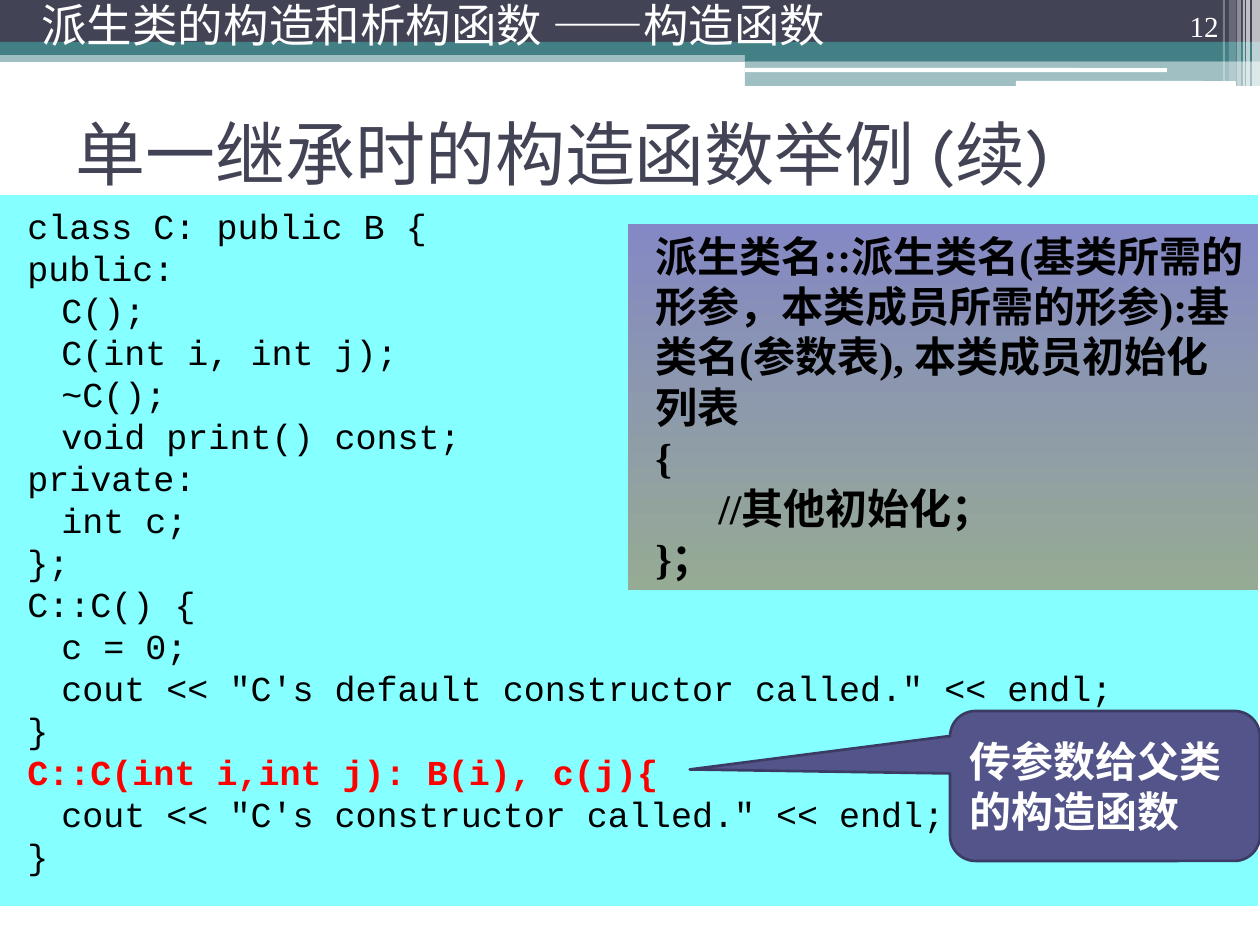
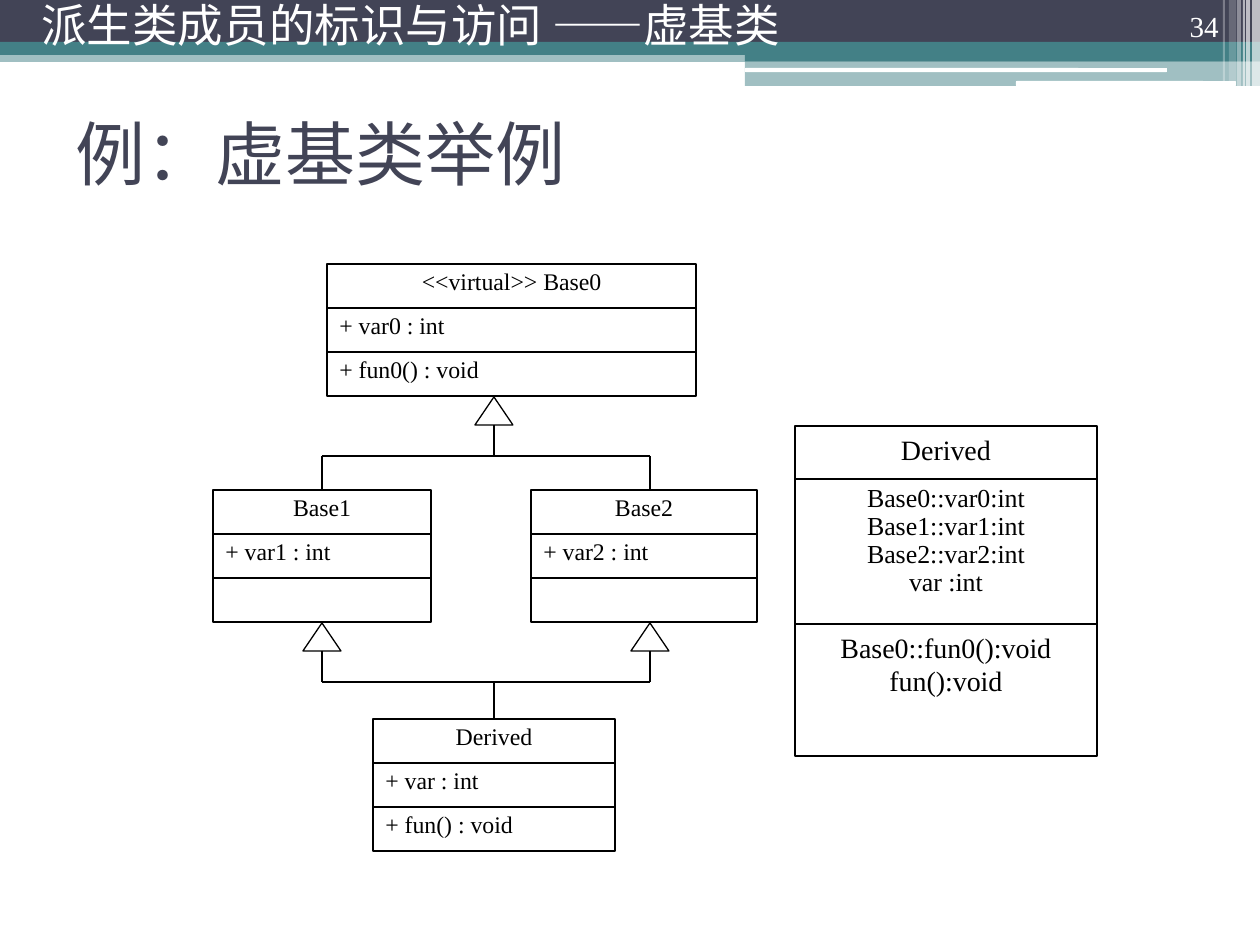
import pptx
import pptx.dml.color
import pptx.enum.shapes
import pptx.enum.text
import pptx.oxml
import pptx.oxml.ns
import pptx.util

SCALE = 914400 / 126
COLORS = {
    "white": "FFFFFF", "black": "000000", "red": "FF0000", "slate": "424456",
    "teal": "438086", "cyan": "85FFFF", "indigo": "53548A",
    "indigo_edge": "3B3B64", "violet": "8488C4", "sage": "96AB94",
}
SHAPES = pptx.enum.shapes.MSO_SHAPE
ALIGN = pptx.enum.text.PP_ALIGN
ANCHOR = pptx.enum.text.MSO_ANCHOR
SERIF, SANS, MONO, SCHOLA = "Times New Roman", "Karla", "Courier New", "TeX Gyre Schola"
BANDS = [
    ((0, 50, 1260, 12), "teal", 50), ((0, 0, 1260, 42), "slate", 100),
    ((0, 42, 1260, 13), "teal", 100), ((745, 49, 515, 12), "teal", 100),
    ((745, 61, 515, 25), "teal", 50),
]
RULES = [(745, 68, 422, 4), (1016, 81, 220, 5)]
STRIPES = [
    (1252, 8, 86, 65), (1246, 4, 86, 65), (1243, 2, 86, 60),
    (1237, 4, 86, 40), (1229, 7, 81, 20), (1223, 2, 81, 30),
]
CODE = """class C: public B {
public:
\tC();
\tC(int i, int j);
\t~C();
\tvoid print() const;
private:
\tint c;
};
C::C() {
\tc = 0;
\tcout << "C's default constructor called." << endl;
}
C::C(int i,int j): B(i), c(j){
\tcout << "C's constructor called." << endl;
}"""
SYNTAX = """派生类名::派生类名(基类所需的形参，本类成员所需的形参):基类名(参数表), 本类成员初始化列表
{
\t//其他初始化；
}；"""


def px(length):
    """Turn pixels into EMU."""
    return pptx.util.Emu(round(length * SCALE))


def rgb(name):
    """Look up a named colour."""
    return pptx.dml.color.RGBColor.from_string(COLORS[name])


def write_text(shape, text, size=16, font=SERIF, color="black", bold=False,
               align=ALIGN.LEFT, anchor=ANCHOR.TOP, spacing=1.0, margin=0,
               indent=0, highlight=None):
    """Fill a shape with one formatted paragraph per line of text."""
    frame = shape.text_frame
    frame.word_wrap = True
    frame.auto_size = pptx.enum.text.MSO_AUTO_SIZE.NONE
    frame.vertical_anchor = anchor
    frame.margin_left = frame.margin_right = pptx.util.Inches(0.1)
    frame.margin_top = frame.margin_bottom = pptx.util.Inches(0.05)
    for index, line in enumerate(text.split("\n")):
        paragraph = frame.add_paragraph() if index else frame.paragraphs[0]
        paragraph.alignment = align
        paragraph.line_spacing = spacing
        if margin:
            properties = paragraph._p.get_or_add_pPr()
            properties.set("marL", str(px(margin)))
            properties.set("indent", str(px(indent)))
        run = paragraph.add_run()
        run.text = line
        marked = line == highlight
        run.font.name = font
        run.font.size = pptx.util.Pt(size)
        run.font.bold = bold or marked
        run.font.color.rgb = rgb("red" if marked else color)


def add_box(slide, box, fill=None, line=None, width=0.75, kind=SHAPES.RECTANGLE,
            opacity=100):
    """Add a preset shape with a flat fill and an optional outline."""
    shape = slide.shapes.add_shape(kind, *map(px, box))
    shape.shadow.inherit = False
    if fill:
        shape.fill.solid()
        shape.fill.fore_color.rgb = rgb(fill)
        if opacity < 100:
            color = shape.element.find(".//" + pptx.oxml.ns.qn("a:srgbClr"))
            alpha = color.makeelement(pptx.oxml.ns.qn("a:alpha"), {"val": str(opacity * 1000)})
            color.append(alpha)
    else:
        shape.fill.background()
    if line:
        shape.line.color.rgb = rgb(line)
        shape.line.width = pptx.util.Pt(width)
    else:
        shape.line.fill.background()
    return shape


def add_label(slide, box, text, **style):
    """Add a text box."""
    label = slide.shapes.add_textbox(*map(px, box))
    write_text(label, text, **style)


def add_line(slide, start, end):
    """Add a thin straight connector."""
    line = slide.shapes.add_connector(
        pptx.enum.shapes.MSO_CONNECTOR.STRAIGHT, *map(px, (*start, *end)))
    line.line.color.rgb = rgb("black")
    line.line.width = pptx.util.Pt(0.75)
    line.element.spPr.append(pptx.oxml.parse_xml(
        "<a:effectLst %s/>" % pptx.oxml.ns.nsdecls("a")))
    return line


def decorate_layout(slide):
    """Build the header bands and move them to the slide's layout."""
    parts = [add_box(slide, box, color, opacity=opacity) for box, color, opacity in BANDS]
    parts += [add_box(slide, box, "white", kind=SHAPES.ROUNDED_RECTANGLE) for box in RULES]
    parts += [add_box(slide, (left, 0, width, height), "white", opacity=opacity)
              for left, width, height, opacity in STRIPES]
    tree = slide.slide_layout.shapes.element
    for index, part in enumerate(parts):
        part.element.nvSpPr.cNvPr.set("id", str(20 + index))
        tree.insert(2 + index, part.element)


def add_slide(presentation, section, title, number):
    """Add a titled slide with its section heading and page number."""
    slide = presentation.slides.add_slide(presentation.slide_layouts[5])
    if len(presentation.slides) == 1:
        decorate_layout(slide)
    heading = slide.shapes.title
    heading.left, heading.top, heading.width, heading.height = map(px, (63, 79, 1134, 147))
    write_text(heading, title, size=40, font=SANS, color="slate", anchor=ANCHOR.MIDDLE)
    add_label(slide, (1126, 0, 105, 50), number, size=16.6, color="white",
              align=ALIGN.RIGHT, anchor=ANCHOR.BOTTOM, spacing=0.9)
    add_label(slide, (29, 0, 1206, 59), section, size=26, font=SANS,
              color="white", anchor=ANCHOR.MIDDLE, spacing=0.8)
    return slide


def add_code(slide, box):
    """Add the code listing panel."""
    panel = add_box(slide, box, "cyan")
    write_text(panel, CODE, size=20, font=MONO, spacing=pptx.util.Pt(24), margin=49,
               indent=-34, highlight="C::C(int i,int j): B(i), c(j){")
    panel.text_frame.margin_top = px(9)


def add_callout(slide, box):
    """Add the callout that points at the highlighted constructor."""
    callout = add_box(slide, box, "indigo", "indigo_edge", 1.5,
                      SHAPES.ROUNDED_RECTANGULAR_CALLOUT)
    for index, value in enumerate((-1.34, -0.11, 0.17)):
        callout.adjustments[index] = value
    write_text(callout, "传参数给父类的构造函数", size=24, font=SCHOLA,
               color="white", bold=True, anchor=ANCHOR.MIDDLE)


def add_syntax(slide, box):
    """Add the gradient panel with the constructor syntax."""
    panel = add_box(slide, box)
    panel.fill.gradient()
    panel.fill.gradient_angle = 270
    for stop, color, position in zip(panel.fill.gradient_stops, ("violet", "sage"), (0, 1)):
        stop.color.rgb = rgb(color)
        stop.position = position
    write_text(panel, SYNTAX, size=24, bold=True, margin=15)


def add_class(slide, box, texts, heights=(44, 44, 44), sizes=(13.6, 13.6, 13.6),
              spacings=(0.9, 0.9, 0.9), centered=False):
    """Stack the compartments of a class and return the top one."""
    left, top, width = box
    compartments = []
    for text, height, size, spacing in zip(texts, heights, sizes, spacings):
        compartment = add_box(slide, (left, top, width, height), line="black")
        if text:
            middle = centered or not compartments
            write_text(compartment, text, size=size, spacing=spacing,
                       align=ALIGN.CENTER if middle else ALIGN.LEFT)
        compartments.append(compartment)
        top += height
    return compartments[0]


def add_inheritance(slide, top, bottom, parents, children):
    """Link parent arrowheads at top to (x, joined box) children at bottom."""
    bus = top + 59
    for x in parents:
        add_box(slide, (x - 19, top, 38, 28), "white", "black",
                kind=SHAPES.ISOSCELES_TRIANGLE)
        add_line(slide, (x, top + 28), (x, bus))
    for x, child in children:
        line = add_line(slide, (x, bus), (x, bottom))
        if child is not None:
            line.end_connect(child, 0)
    ends = parents + [x for x, _ in children]
    add_line(slide, (min(ends), bus), (max(ends), bus))


def add_class_diagram(slide, left, top):
    """Add the diamond inheritance diagram."""
    add_class(slide, (left + 114, top, 369),
              ("<<virtual>> Base0", "+ var0 : int", "+ fun0() : void"))
    base1 = add_class(slide, (left, top + 226, 218), ("Base1", "+ var1 : int", ""))
    add_class(slide, (left + 318, top + 226, 226), ("Base2", "+ var2 : int", ""))
    derived = add_class(slide, (left + 160, top + 455, 242),
                        ("Derived", "+ var : int", "+ fun() : void"))
    arm1, trunk, arm2 = left + 109, left + 281, left + 437
    add_inheritance(slide, top + 133, top + 225, [trunk], [(arm1, base1), (arm2, None)])
    add_inheritance(slide, top + 359, top + 455, [arm1, arm2], [(trunk, derived)])


def main():
    """Build both slides and save them."""
    presentation = pptx.Presentation()
    presentation.slide_width, presentation.slide_height = px(1260), px(945)

    slide = add_slide(presentation, "派生类的构造和析构函数 ——构造函数",
                      "单一继承时的构造函数举例 (续)", "12")
    add_code(slide, (0, 195, 1258, 711))
    add_callout(slide, (950, 711, 310, 150))
    add_syntax(slide, (628, 224, 630, 366))

    slide = add_slide(presentation, "派生类成员的标识与访问 ——虚基类", "例：虚基类举例", "34")
    add_class(slide, (795, 426, 302),
              ("Derived", "Base0::var0:int\nBase1::var1:int\nBase2::var2:int\nvar :int",
               "Base0::fun0():void\nfun():void"),
              heights=(53, 145, 132), sizes=(16, 14.8, 16), spacings=(1.0, 0.9, 1.0),
              centered=True)
    add_class_diagram(slide, 213, 264)
    presentation.save("out.pptx")


if __name__ == "__main__":
    main()
